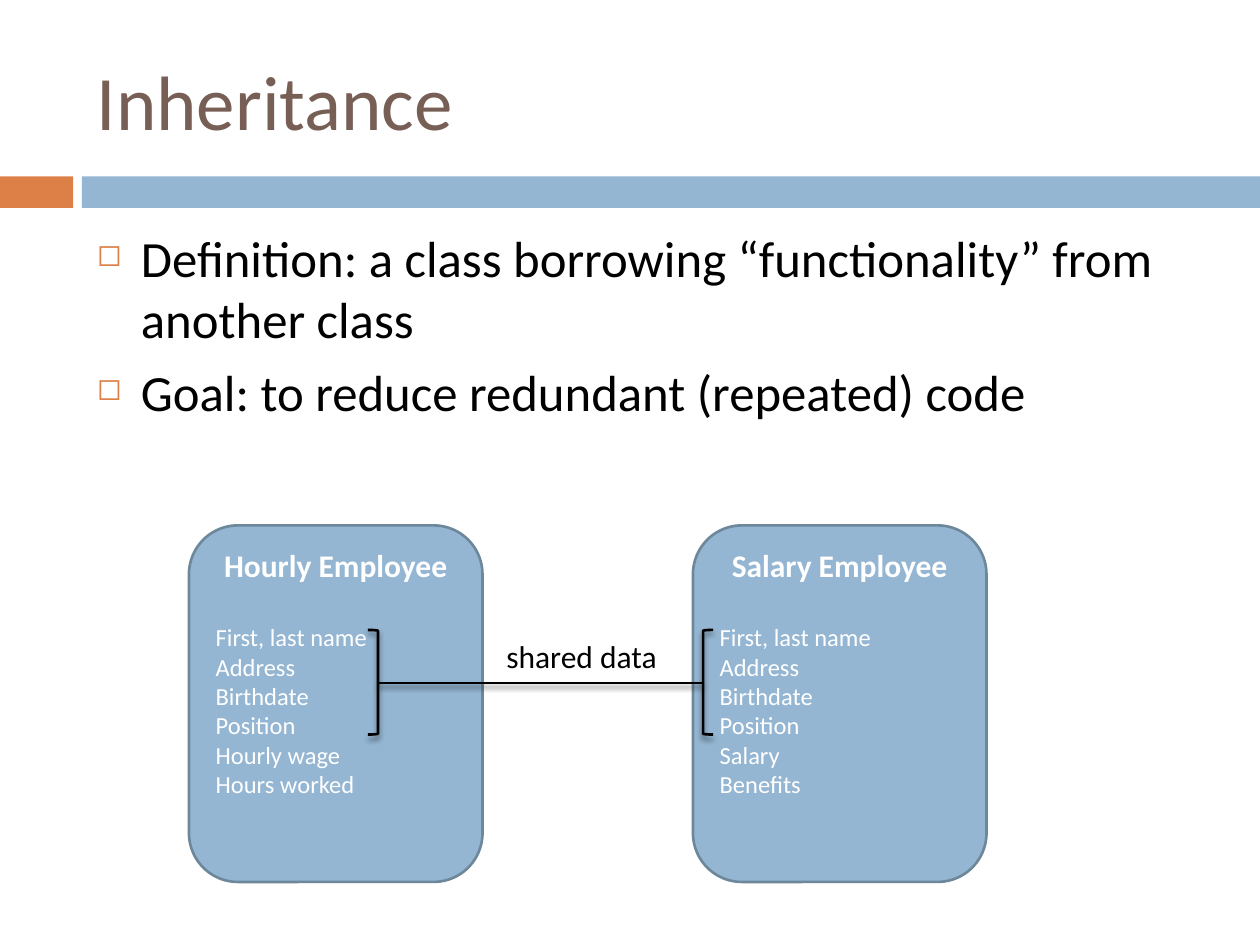
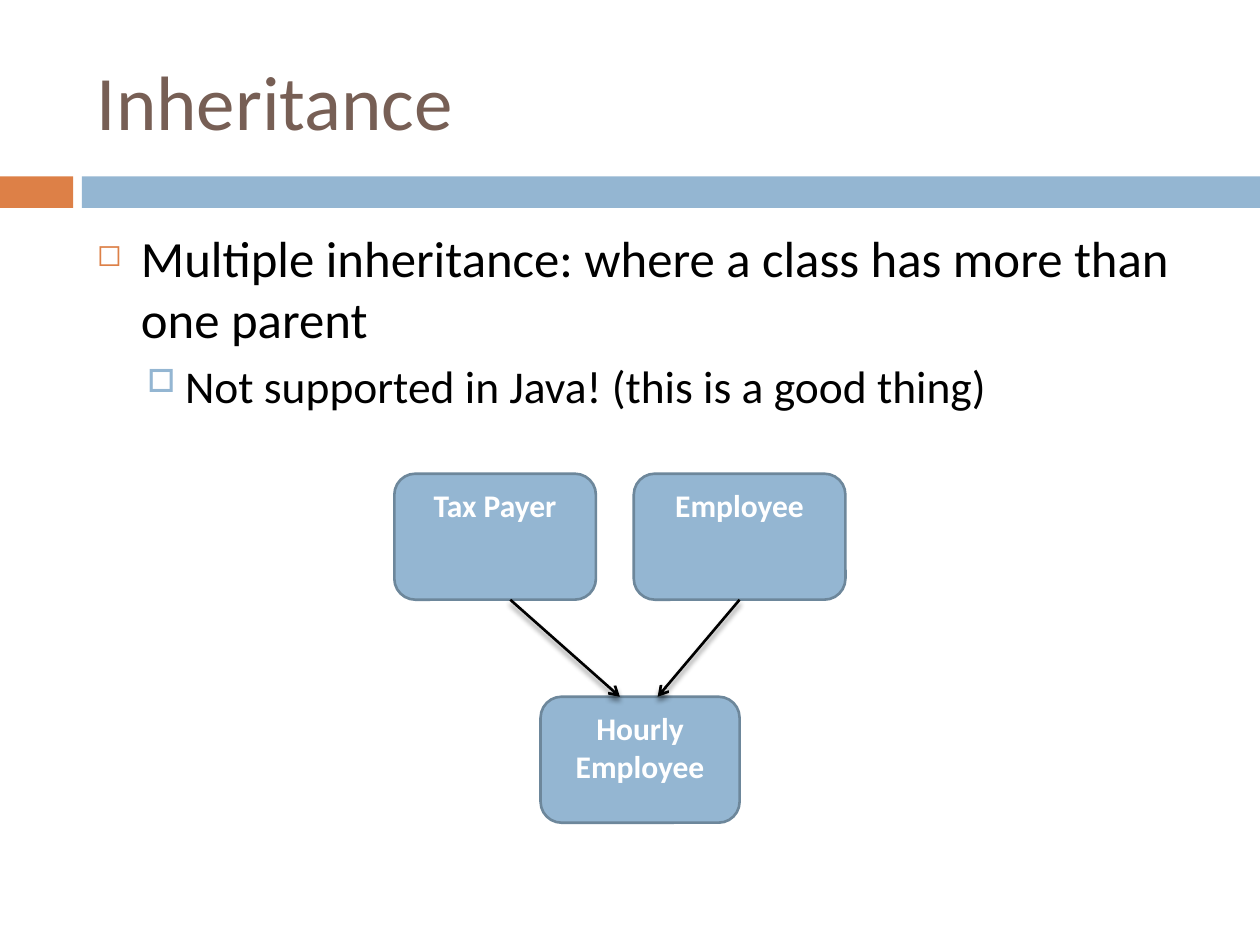
"""Build two slides on class inheritance."""
from pptx import Presentation
from pptx.dml.color import RGBColor
from pptx.enum import shapes, text
from pptx.oxml import parse_xml
from pptx.oxml.ns import nsdecls, qn
from pptx.util import Inches, Pt

BLUE = RGBColor(0x94, 0xB6, 0xD2)
EDGE = RGBColor(0x6D, 0x87, 0x9B)
ORANGE = RGBColor(0xDD, 0x80, 0x47)
BROWN = RGBColor(0x77, 0x5F, 0x55)
BLACK = RGBColor(0, 0, 0)
WHITE = RGBColor(255, 255, 255)
FONT = "Calibri"
KIND = shapes.MSO_SHAPE
NS = nsdecls("a")


def add_class(slide, name, x, y, w, h, fields=()):
    box = slide.shapes.add_shape(KIND.ROUNDED_RECTANGLE, Inches(x), Inches(y), Inches(w), Inches(h))
    box.shadow.inherit = False
    box.fill.solid()
    box.fill.fore_color.rgb = BLUE
    box.line.color.rgb = EDGE
    box.line.width = Pt(1.5)
    frame = box.text_frame
    frame.vertical_anchor = text.MSO_ANCHOR.TOP
    frame.text = "\n".join([name, *fields])
    for i, para in enumerate(frame.paragraphs):
        para.alignment = text.PP_ALIGN.LEFT if i else text.PP_ALIGN.CENTER
        para.font.name = FONT
        para.font.size = Pt(14 if i else 18)
        para.font.bold = i == 0
        para.font.color.rgb = WHITE
        if i == 1:
            para.space_before = Pt(22)
    return box


def style_line(shape, arrow=False):
    shape.line.color.rgb = BLACK
    shape.line.width = Pt(1.5)
    props = shape.element.spPr
    if arrow:
        props.find(qn("a:ln")).append(parse_xml(f'<a:tailEnd {NS} type="arrow"/>'))
    props.append(parse_xml(
        f'<a:effectLst {NS}><a:outerShdw blurRad="{Pt(3)}" dist="{Pt(2.4)}" dir="5400000" '
        'rotWithShape="0"><a:srgbClr val="000000"><a:alpha val="45000"/></a:srgbClr>'
        '</a:outerShdw></a:effectLst>'))


LEVELS = [
    (29, 7, 0.35, 0.35, "◻", ORANGE, 60),
    (26, 5.5, 0.7, 0.3, "□", BLUE, 70),
]
POINTS = [
    [(0, "Definition: a class borrowing “functionality” from another class"),
     (0, "Goal: to reduce redundant (repeated) code")],
    [(0, "Multiple inheritance: where a class has more than one parent"),
     (1, "Not supported in Java! (this is a good thing)")],
]

deck = Presentation()
deck.slide_width, deck.slide_height = Inches(10), Inches(7.5)

for points in POINTS:
    slide = deck.slides.add_slide(deck.slide_layouts[6])
    for x, w, color in [(0, 0.58, ORANGE), (0.65, 9.35, BLUE)]:
        band = slide.shapes.add_shape(KIND.RECTANGLE, Inches(x), Inches(1.4), Inches(w), Inches(0.25))
        band.shadow.inherit = False
        band.fill.solid()
        band.fill.fore_color.rgb = color
        band.line.fill.background()

    title = slide.shapes.add_textbox(Inches(0.67), Inches(0.25), Inches(8.92), Inches(1.08)).text_frame
    title.word_wrap = True
    title.vertical_anchor = text.MSO_ANCHOR.MIDDLE
    title.text = "Inheritance"
    font = title.paragraphs[0].font
    font.name, font.size = FONT, Pt(44)
    font.color.rgb = BROWN

    body = slide.shapes.add_textbox(Inches(0.67), Inches(1.75), Inches(8.92), Inches(4.92)).text_frame
    body.word_wrap = True
    body.text = "\n".join(words for level, words in points)
    for para, (level, words) in zip(body.paragraphs, points):
        size, gap, left, hang, mark, color, scale = LEVELS[level]
        para.level = level
        para.space_before = Pt(gap)
        para.font.name, para.font.size = FONT, Pt(size)
        para.font.color.rgb = BLACK
        props = para._p.get_or_add_pPr()
        props.set("marL", str(Inches(left)))
        props.set("indent", str(-Inches(hang)))
        bullet = (f'<a:buClr {NS}><a:srgbClr val="{color}"/></a:buClr>',
                  f'<a:buSzPct {NS} val="{scale * 1000}"/>',
                  f'<a:buChar {NS} char="{mark}"/>')
        for i, part in enumerate(bullet):
            props.insert(1 + i, parse_xml(part))

shared, multi = deck.slides

common = ["First, last name", "Address", "Birthdate", "Position"]
add_class(shared, "Hourly Employee", 1.5, 4.17, 2.33, 2.83, common + ["Hourly wage", "Hours worked"])
add_class(shared, "Salary Employee", 5.5, 4.17, 2.33, 2.83, common + ["Salary", "Benefits"])
for kind, x in [(KIND.RIGHT_BRACKET, 2.92), (KIND.LEFT_BRACKET, 5.58)]:
    bracket = shared.shapes.add_shape(kind, Inches(x), Inches(5), Inches(0.08), Inches(0.83))
    bracket.fill.background()
    style_line(bracket)
link = shared.shapes.add_connector(
    shapes.MSO_CONNECTOR.STRAIGHT, Inches(3), Inches(5.42), Inches(5.58), Inches(5.42))
style_line(link)
label = shared.shapes.add_textbox(Inches(3.92), Inches(5.01), Inches(1.48), Inches(0.4)).text_frame
label.word_wrap = False
label.auto_size = text.MSO_AUTO_SIZE.SHAPE_TO_FIT_TEXT
label.text = "shared data"
font = label.paragraphs[0].font
font.name, font.size = FONT, Pt(18)
font.color.rgb = BLACK

add_class(multi, "Hourly Employee", 4.29, 5.53, 1.58, 1)
worker = add_class(multi, "Employee", 5.03, 3.76, 1.68, 1)
add_class(multi, "Tax Payer", 3.13, 3.76, 1.6, 1)
for start, end, parent in [(4.05, 4.92, None), (5.87, 5.22, worker)]:
    arrow = multi.shapes.add_connector(
        shapes.MSO_CONNECTOR.STRAIGHT, Inches(start), Inches(4.76), Inches(end), Inches(5.53))
    if parent:
        arrow.begin_connect(parent, 2)
    style_line(arrow, arrow=True)

deck.save("out.pptx")
